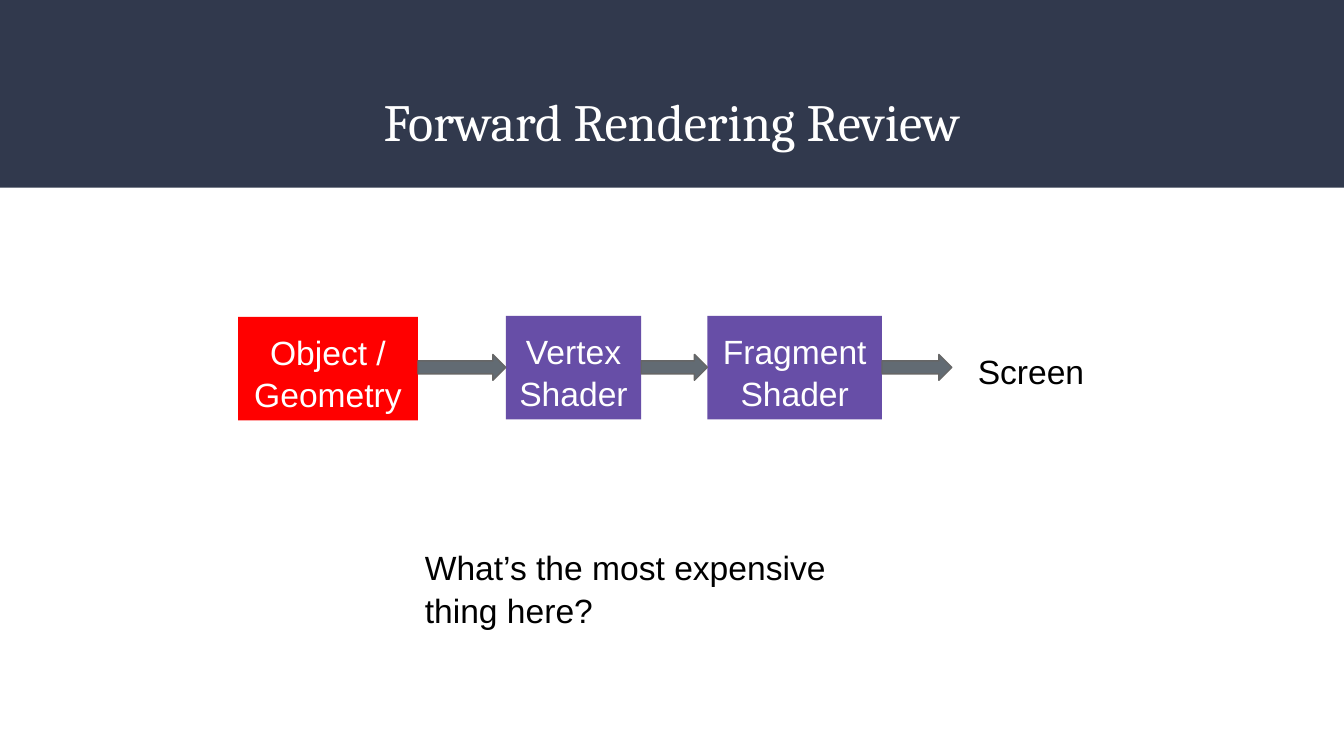
from pptx import Presentation
from pptx.dml.color import RGBColor
from pptx.enum.shapes import MSO_SHAPE
from pptx.enum.text import MSO_ANCHOR, PP_ALIGN
from pptx.util import Cm, Pt

RECT, ARROW = MSO_SHAPE.RECTANGLE, MSO_SHAPE.RIGHT_ARROW
TOP, BOTTOM = MSO_ANCHOR.TOP, MSO_ANCHOR.BOTTOM
LEFT, CENTER = PP_ALIGN.LEFT, PP_ALIGN.CENTER

COLORS = {
    "band": "31394D", "geometry": "FF0000", "shader": "674EA7",
    "arrow": "626B73", "arrow_edge": "666666",
    "light": "FFFFFF", "dark": "000000",
}

# Content: stage text, colour, left, top, width (cm)
TITLE = "Forward Rendering Review"
STAGES = [
    ("Object / Geometry", "geometry", 4.5, 5.99, 3.4),
    ("Vertex Shader", "shader", 9.56, 5.97, 2.56),
    ("Fragment Shader", "shader", 13.37, 5.97, 3.3),
]
OUTPUT = "Screen"
QUESTION = "What’s the most expensive thing here?"

SLIDE_W, SLIDE_H = 25.4, 14.29
STAGE_H = 1.96
ARROW_TOP, ARROW_H = 6.7, 0.49
FLOW_END = 17.99
INSET = Cm(0.25)


def rgb(name):
    return RGBColor.from_string(COLORS[name])


def add_block(slide, kind, box, fill, edge=None):
    block = slide.shapes.add_shape(kind, *map(Cm, box))
    block.shadow.inherit = False
    block.fill.solid()
    block.fill.fore_color.rgb = rgb(fill)
    if edge:
        block.line.color.rgb = rgb(edge)
        block.line.width = Pt(0.75)
    else:
        block.line.fill.background()
    return block


def write(holder, text, color, align=LEFT, anchor=TOP, font="Arial", size=18, spacing=1.05):
    frame = holder.text_frame
    frame.word_wrap = True
    frame.vertical_anchor = anchor
    frame.margin_left = frame.margin_right = INSET
    frame.margin_top = frame.margin_bottom = INSET
    paragraph = frame.paragraphs[0]
    paragraph.text = text
    paragraph.alignment = align
    paragraph.line_spacing = spacing
    paragraph.font.name = font
    paragraph.font.size = Pt(size)
    paragraph.font.color.rgb = rgb(color)


def add_text(slide, box, *args, **style):
    write(slide.shapes.add_textbox(*map(Cm, box)), *args, **style)


prs = Presentation()
prs.slide_width, prs.slide_height = Cm(SLIDE_W), Cm(SLIDE_H)
slide = prs.slides.add_slide(prs.slide_layouts[6])

# Title band
add_block(slide, RECT, (0, 0, SLIDE_W, 3.55), "band")
add_text(slide, (0.86, 1.4, 23.67, 1.73), TITLE, "light", CENTER, BOTTOM,
         font="Cambria", size=28, spacing=1.0)

# Pipeline stages
for label, fill, left, top, width in STAGES:
    stage = add_block(slide, RECT, (left, top, width, STAGE_H), fill)
    write(stage, label, "light", CENTER)

# Arrows fill the gaps after each stage
next_lefts = [stage[2] for stage in STAGES[1:]] + [FLOW_END]
for (_, _, left, _, width), end in zip(STAGES, next_lefts):
    start = left + width
    add_block(slide, ARROW, (start, ARROW_TOP, end - start, ARROW_H), "arrow", "arrow_edge")

# Pipeline output and closing question
add_text(slide, (18.23, 6.35, 2.97, 1.02), OUTPUT, "dark")
add_text(slide, (7.78, 10.06, 9.53, 1.4), QUESTION, "dark")

prs.save("out.pptx")
